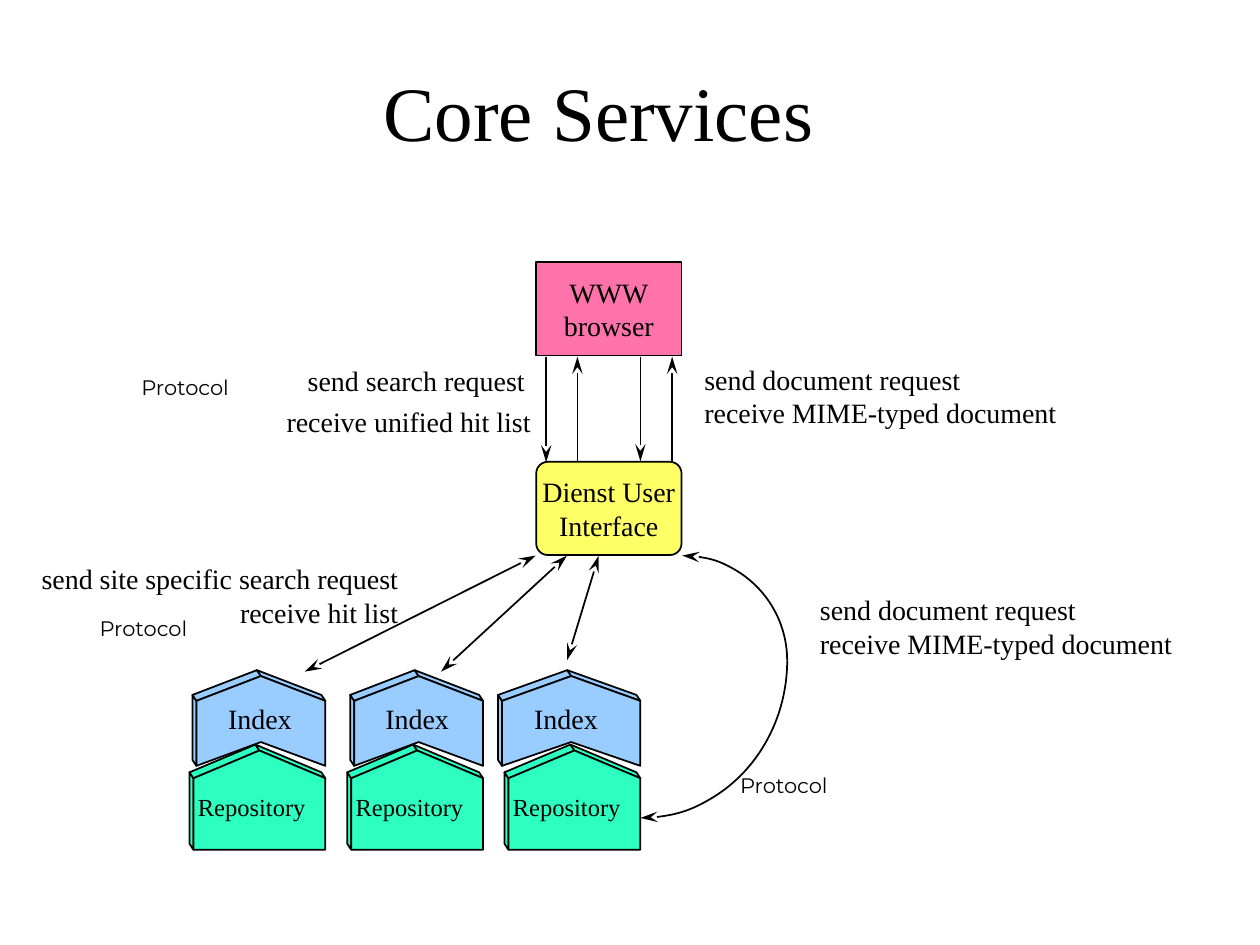
import pptx
import pptx.dml.color
import pptx.enum.shapes
import pptx.enum.text
import pptx.oxml
import pptx.oxml.ns
import pptx.util
from lxml import etree

Cm = pptx.util.Cm
Pt = pptx.util.Pt
RGBColor = pptx.dml.color.RGBColor
Align = pptx.enum.text.PP_ALIGN
Anchor = pptx.enum.text.MSO_ANCHOR
Shape = pptx.enum.shapes.MSO_SHAPE
qn = pptx.oxml.ns.qn

BLACK = RGBColor(0x00, 0x00, 0x00)
PINK = RGBColor(0xFF, 0x73, 0xAB)
YELLOW = RGBColor(0xFF, 0xFF, 0x66)
BLUE = RGBColor(0x99, 0xCC, 0xFF)
GREEN = RGBColor(0x2D, 0xFF, 0xC1)
SERIF = "Times New Roman"
SANS = "Montserrat"


def write_text(shape, text, size, alignment, anchor, wrap=False, font=SERIF):
    frame = shape.text_frame
    frame.text = text
    frame.word_wrap = wrap
    frame.vertical_anchor = anchor
    for paragraph in frame.paragraphs:
        paragraph.alignment = alignment
        for run in paragraph.runs:
            run.font.size = Pt(size)
            run.font.name = font
            run.font.color.rgb = BLACK


def draw_line(shape, ends=()):
    shape.line.color.rgb = BLACK
    shape.line.width = Pt(1)
    properties = shape._element.spPr
    outline = properties.find(qn("a:ln"))
    for end in ends:
        arrowhead = etree.SubElement(outline, qn(f"a:{end}End"))
        arrowhead.set("type", "stealth")
        arrowhead.set("len", "lg")
    etree.SubElement(properties, qn("a:effectLst"))


presentation = pptx.Presentation()
presentation.slide_width = Cm(25.4)
presentation.slide_height = Cm(19.05)
slide = presentation.slides.add_slide(presentation.slide_layouts[6])
shapes = slide.shapes

title = shapes.add_textbox(Cm(1.27), Cm(0.64), Cm(21.59), Cm(3.18))
write_text(title, "Core Services", 44, Align.CENTER, Anchor.MIDDLE, wrap=True)

for kind, top, color, text in [
    (Shape.RECTANGLE, 5.29, PINK, "WWW\nbrowser"),
    (Shape.ROUNDED_RECTANGLE, 9.31, YELLOW, "Dienst User\nInterface"),
]:
    box = shapes.add_shape(kind, Cm(10.81), Cm(top), Cm(2.93), Cm(1.88))
    box.fill.solid()
    box.fill.fore_color.rgb = color
    draw_line(box)
    write_text(box, text, 16, Align.CENTER, Anchor.MIDDLE)
    if kind == Shape.ROUNDED_RECTANGLE:
        box.adjustments[0] = 0.125

depth_x, depth_y = 0.08, 0.12
for right, index_width, index_label_left in [
    (6.56, 2.6, 4.35),
    (9.74, 2.6, 7.52),
    (12.91, 2.79, 10.52),
]:
    for text, color, width, peak, shoulder, bottom, notch, size, label_box in [
        ("Repository", GREEN, 2.66, 15.13, 15.69, 17.13, 17.13, 14,
         (right - 2.82, 15.85, 3.0, 0.84)),
        ("Index", BLUE, index_width, 13.63, 14.13, 15.44, 14.96, 16,
         (index_label_left, 14.02, 1.8, 0.94)),
    ]:
        left = right - width
        middle = right - width / 2
        front = [(left, shoulder), (left, bottom), (middle, notch),
                 (right, bottom), (right, shoulder), (middle, peak)]
        back = [(x - depth_x, y - depth_y) for x, y in front]
        faces = [
            [front[0], front[1], back[1], back[0]],
            [back[0], front[0], front[5], back[5]],
            [back[5], front[5], front[4], back[4]],
            front,
        ]
        for face in faces:
            points = [(Cm(x), Cm(y)) for x, y in face]
            builder = shapes.build_freeform(*points[0])
            builder.add_line_segments(points[1:], close=True)
            panel = builder.convert_to_shape()
            panel.fill.solid()
            panel.fill.fore_color.rgb = color
            draw_line(panel)
        label = shapes.add_textbox(*[Cm(length) for length in label_box])
        write_text(label, text, size, Align.LEFT, Anchor.TOP, wrap=text == "Repository")

for start_x, start_y, end_x, end_y, ends in [
    (11.01, 7.19, 11.01, 9.32, ["tail"]),
    (11.64, 7.19, 11.64, 9.32, ["head"]),
    (12.91, 7.19, 12.91, 9.3, ["tail"]),
    (13.55, 7.19, 13.55, 9.3, ["head"]),
    (10.8, 11.2, 6.14, 13.54, ["head", "tail"]),
    (11.43, 11.2, 8.89, 13.54, ["head", "tail"]),
    (12.07, 11.2, 11.43, 13.31, ["head", "tail"]),
]:
    arrow = shapes.add_connector(
        pptx.enum.shapes.MSO_CONNECTOR.STRAIGHT,
        Cm(start_x), Cm(start_y), Cm(end_x), Cm(end_y),
    )
    draw_line(arrow, ends)

for left, top, width, height, start_angle, end_angle, end in [
    (11.64, 11.2, 4.23, 4.23, 162, 0, "head"),
    (9.95, 10.14, 5.92, 6.35, 0, 54, "tail"),
]:
    arc = shapes.add_shape(Shape.ARC, Cm(left), Cm(top), Cm(width), Cm(height))
    arc.adjustments[0] = start_angle
    arc.adjustments[1] = end_angle
    arc.fill.background()
    draw_line(arc, [end])

document_text = "send document request\nreceive MIME-typed document"
search_text = "send site specific search request\nreceive hit list"
for text, left, top, width, height, alignment in [
    ("receive unified hit list", 5.52, 8.04, 5.44, 0.94, Align.CENTER),
    ("send search request", 5.93, 7.2, 4.9, 1.6, Align.RIGHT),
    (search_text, 0.58, 11.2, 7.7, 1.6, Align.RIGHT),
    (document_text, 13.95, 7.18, 7.62, 1.6, Align.LEFT),
    (document_text, 16.28, 11.83, 7.62, 1.6, Align.LEFT),
]:
    note = shapes.add_textbox(Cm(left), Cm(top), Cm(width), Cm(height))
    write_text(note, text, 16, alignment, Anchor.TOP)

for left, top in [(2.6, 7.42), (1.76, 12.28), (14.67, 15.44)]:
    protocol = shapes.add_textbox(Cm(left), Cm(top), Cm(2.6), Cm(1.37))
    write_text(protocol, "Protocol", 12, Align.LEFT, Anchor.TOP, wrap=True, font=SANS)

presentation.save("out.pptx")
